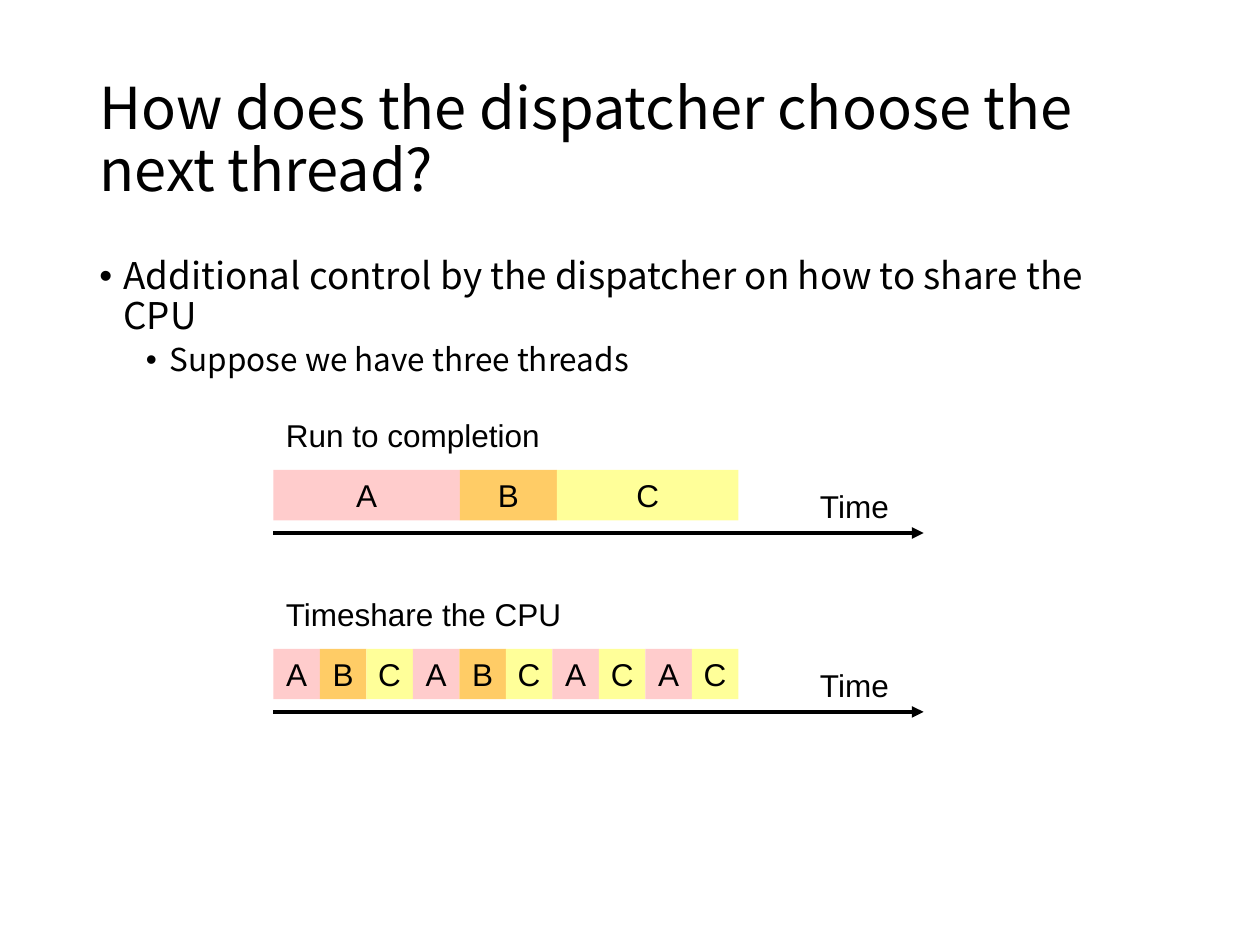
"""Build the slide on how a dispatcher shares the CPU between threads."""
from dataclasses import dataclass
from typing import Any

from lxml.etree import SubElement
from pptx import Presentation
from pptx.dml.color import RGBColor
from pptx.enum.shapes import MSO_CONNECTOR, MSO_SHAPE
from pptx.enum.text import MSO_ANCHOR, PP_ALIGN
from pptx.oxml.ns import qn
from pptx.util import Inches, Pt

BLACK = RGBColor(0x00, 0x00, 0x00)
PINK = RGBColor(0xFF, 0xCC, 0xCC)
ORANGE = RGBColor(0xFF, 0xCC, 0x66)
YELLOW = RGBColor(0xFF, 0xFF, 0x99)
THREAD_COLOURS = {"A": PINK, "B": ORANGE, "C": YELLOW}

TEXT_FONT = "Noto Sans CJK SC"
DIAGRAM_FONT = "Arial"
DIAGRAM_SIZE = 18
AXIS_LEFT = 2.17
AXIS_RIGHT = 7.33
BAR_HEIGHT = 0.4


@dataclass
class Bullet:
    text: str
    level: int
    size: float
    margin: float
    space_before: float


@dataclass
class Timeline:
    label: str
    label_width: float
    top: float
    slots: list[tuple[str, float]]


BULLETS = [
    Bullet("Additional control by the dispatcher on how to share the CPU", 0, 21, 0.19, 7.5),
    Bullet("Suppose we have three threads", 1, 18, 0.56, 3.8),
]
TIMELINES = [
    Timeline("Run to completion", 2.22, 3.73, [("A", 1.48), ("B", 0.77), ("C", 1.44)]),
    Timeline("Timeshare the CPU", 2.4, 5.15, [(thread, 0.369) for thread in "ABCABCACAC"]),
]


def style_paragraph(para: Any, font: str, size: float) -> None:
    for span in para.runs:
        span.font.name = font
        span.font.size = Pt(size)
        span.font.color.rgb = BLACK


def add_title(page: Any, text: str) -> None:
    box = page.shapes.add_textbox(Inches(0.69), Inches(0.4), Inches(8.62), Inches(1.45))
    frame = box.text_frame
    frame.word_wrap = True
    frame.vertical_anchor = MSO_ANCHOR.MIDDLE
    frame.text = text
    frame.paragraphs[0].line_spacing = 0.9
    style_paragraph(frame.paragraphs[0], TEXT_FONT, 33)


def add_bullets(page: Any, bullets: list[Bullet]) -> None:
    box = page.shapes.add_textbox(Inches(0.69), Inches(2), Inches(8.62), Inches(4.76))
    frame = box.text_frame
    frame.word_wrap = True
    frame.text = "\n".join(bullet.text for bullet in bullets)
    for para, bullet in zip(frame.paragraphs, bullets):
        para.level = bullet.level
        para.line_spacing = 0.9
        para.space_before = Pt(bullet.space_before)
        style_paragraph(para, TEXT_FONT, bullet.size)
        properties = para._p.get_or_add_pPr()
        properties.set("marL", str(Inches(bullet.margin)))
        properties.set("indent", str(Inches(-0.19)))
        SubElement(properties, qn("a:buFont")).set("typeface", "Arial")
        SubElement(properties, qn("a:buChar")).set("char", "•")


def add_label(group: Any, text: str, left: float, top: float, width: float) -> None:
    box = group.shapes.add_textbox(Inches(left), Inches(top), Inches(width), Inches(BAR_HEIGHT))
    box.text_frame.word_wrap = False
    box.text_frame.text = text
    style_paragraph(box.text_frame.paragraphs[0], DIAGRAM_FONT, DIAGRAM_SIZE)


def add_slot(group: Any, thread: str, left: float, top: float, width: float) -> None:
    slot = group.shapes.add_shape(
        MSO_SHAPE.RECTANGLE, Inches(left), Inches(top), Inches(width), Inches(BAR_HEIGHT)
    )
    slot.shadow.inherit = False
    slot.fill.solid()
    slot.fill.fore_color.rgb = THREAD_COLOURS[thread]
    slot.line.fill.background()
    slot.text_frame.word_wrap = False
    slot.text_frame.text = thread
    para = slot.text_frame.paragraphs[0]
    para.alignment = PP_ALIGN.CENTER
    style_paragraph(para, DIAGRAM_FONT, DIAGRAM_SIZE)


def add_axis(group: Any, height: float) -> None:
    axis = group.shapes.add_connector(
        MSO_CONNECTOR.STRAIGHT,
        Inches(AXIS_LEFT), Inches(height), Inches(AXIS_RIGHT), Inches(height),
    )
    axis.line.color.rgb = BLACK
    axis.line.width = Pt(2.25)
    SubElement(axis.line._get_or_add_ln(), qn("a:tailEnd")).set("type", "triangle")
    SubElement(axis._element.spPr, qn("a:effectLst"))


def add_timeline(page: Any, timeline: Timeline) -> None:
    group = page.shapes.add_group_shape()
    left = AXIS_LEFT
    for thread, width in timeline.slots:
        add_slot(group, thread, left, timeline.top, width)
        left += width
    add_axis(group, timeline.top + 0.5)
    add_label(group, "Time", 6.41, timeline.top + 0.09, 0.76)
    add_label(group, timeline.label, AXIS_LEFT, timeline.top - 0.48, timeline.label_width)


def main() -> None:
    deck = Presentation()
    deck.slide_width = Inches(10)
    deck.slide_height = Inches(7.5)
    page = deck.slides.add_slide(deck.slide_layouts[6])
    add_title(page, "How does the dispatcher choose the next thread?")
    add_bullets(page, BULLETS)
    for timeline in TIMELINES:
        add_timeline(page, timeline)
    deck.save("out.pptx")


if __name__ == "__main__":
    main()
